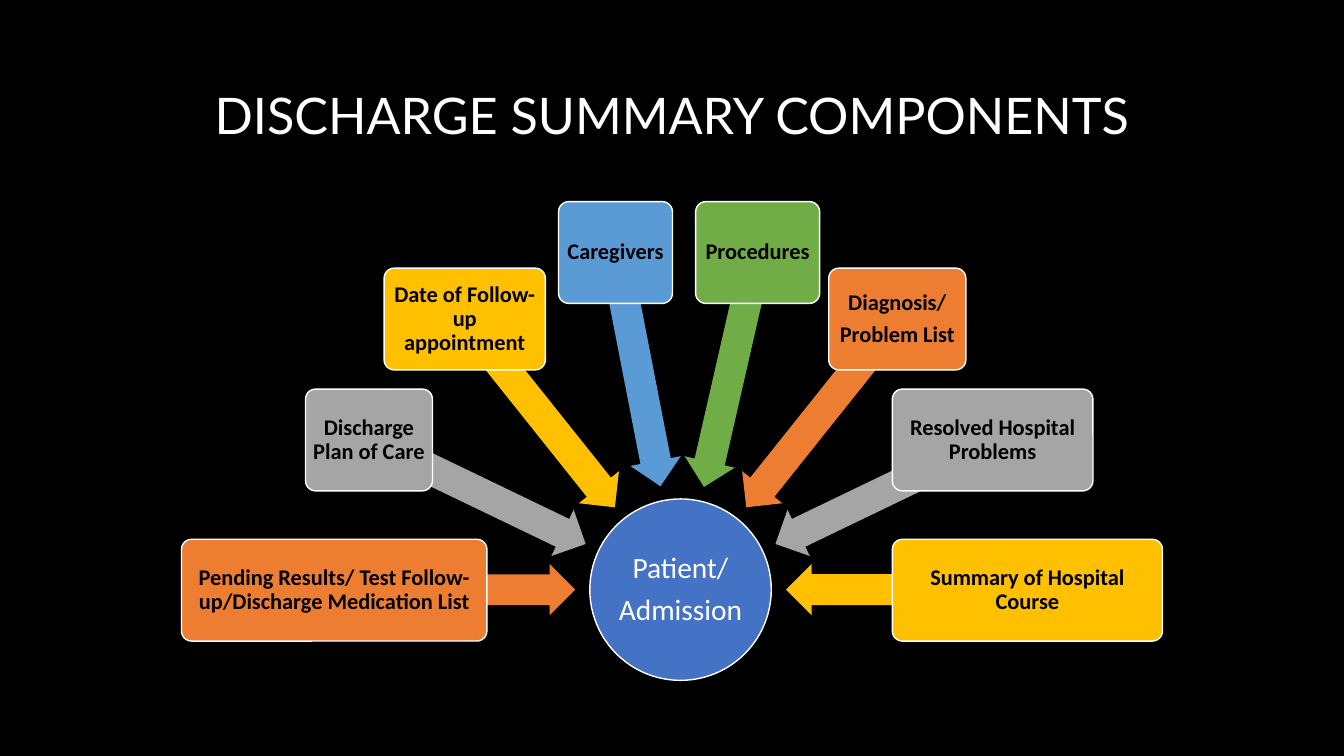
from dataclasses import dataclass
from math import cos, radians, sin

from pptx import Presentation
from pptx.dml.color import RGBColor
from pptx.enum.shapes import MSO_SHAPE
from pptx.enum.text import MSO_ANCHOR, MSO_AUTO_SIZE, PP_ALIGN
from pptx.shapes.autoshape import Shape
from pptx.slide import Slide
from pptx.util import Inches, Pt

CIRCLE = MSO_SHAPE.OVAL
CARD = MSO_SHAPE.ROUNDED_RECTANGLE
ARROW = MSO_SHAPE.LEFT_ARROW
MIDDLE = MSO_ANCHOR.MIDDLE
CENTER = PP_ALIGN.CENTER
NO_AUTOFIT = MSO_AUTO_SIZE.NONE


@dataclass(frozen=True)
class Theme:
    black: str = "000000"
    white: str = "FFFFFF"
    hub: str = "4472C4"
    orange: str = "ED7D31"
    gray: str = "A5A5A5"
    gold: str = "FFC000"
    blue: str = "5B9BD5"
    green: str = "70AD47"
    title_font: str = "Lato"
    body_font: str = "Calibri"
    title_size: int = 36
    hub_size: int = 21
    card_size: int = 16


@dataclass(frozen=True)
class Component:
    lines: tuple[str, ...]
    left: float
    top: float
    width: float
    color: str
    angle: float  # clockwise degrees from the hub's right side


THEME = Theme()

# Geometry in inches
HUB_X, HUB_Y, HUB_SIZE = 6.75, 5.85, 1.8
ARROW_RADIUS, ARROW_LENGTH, ARROW_HEIGHT = 2.24, 2.39, 0.51
CARD_HEIGHT = 1.01
STEP = 180 / 7
ROW_TOPS = (5.35, 3.86, 2.66, 2.0)

# Components clockwise from the left
COMPONENTS = (
    Component(("Pending Results/ Test Follow-up/Discharge Medication List",),
              1.8, ROW_TOPS[0], 3.03, THEME.orange, 180),
    Component(("Discharge Plan of Care",),
              3.03, ROW_TOPS[1], 1.26, THEME.gray, 180 + STEP),
    Component(("Date of Follow-up appointment",),
              3.81, ROW_TOPS[2], 1.6, THEME.gold, 180 + 2 * STEP),
    Component(("Caregivers",),
              5.54, ROW_TOPS[3], 1.13, THEME.blue, 259),
    Component(("Procedures",),
              6.9, ROW_TOPS[3], 1.23, THEME.green, 180 + 4 * STEP),
    Component(("Diagnosis/", "Problem List"),
              8.22, ROW_TOPS[2], 1.36, THEME.orange, 180 + 5 * STEP),
    Component(("Resolved Hospital Problems",),
              8.85, ROW_TOPS[1], 1.99, THEME.gray, 180 + 6 * STEP),
    Component(("Summary of Hospital Course",),
              8.85, ROW_TOPS[0], 2.68, THEME.gold, 0),
)


def write_text(box: Shape, lines: tuple[str, ...], font: str, size: int,
               color: str, bold: bool = False, inset: float = 0.03) -> None:
    frame = box.text_frame
    margin = Inches(inset)
    frame_format = {
        "word_wrap": True, "auto_size": NO_AUTOFIT, "vertical_anchor": MIDDLE,
        "margin_left": margin, "margin_right": margin,
        "margin_top": margin, "margin_bottom": margin,
    }
    for name, value in frame_format.items():
        setattr(frame, name, value)
    frame.text = "\n".join(lines)
    font_format = {"name": font, "size": Pt(size), "bold": bold}
    for para in frame.paragraphs:
        para.alignment = CENTER
        para.line_spacing = 0.9
        span = para.runs[0]
        for name, value in font_format.items():
            setattr(span.font, name, value)
        span.font.color.rgb = RGBColor.from_string(color)
    for para in frame.paragraphs[:-1]:
        para.space_after = Pt(0.35 * size)


def add_filled(page: Slide, kind: MSO_SHAPE, left: float, top: float,
               width: float, height: float, color: str,
               outlined: bool = True) -> Shape:
    box = page.shapes.add_shape(kind, Inches(left), Inches(top),
                                Inches(width), Inches(height))
    box.shadow.inherit = False
    box.fill.solid()
    box.fill.fore_color.rgb = RGBColor.from_string(color)
    if outlined:
        box.line.color.rgb = RGBColor.from_string(THEME.white)
        box.line.width = Pt(1)
    else:
        box.line.fill.background()
    return box


def add_title(page: Slide, text: str) -> None:
    title = page.shapes.title
    bounds = {"left": 1.25, "top": 0.36, "width": 10.83, "height": 1.62}
    for name, value in bounds.items():
        setattr(title, name, Inches(value))
    write_text(title, (text,), THEME.title_font, THEME.title_size, THEME.white)


def add_hub(page: Slide) -> None:
    hub = add_filled(page, CIRCLE, HUB_X - HUB_SIZE / 2, HUB_Y - HUB_SIZE / 2,
                     HUB_SIZE, HUB_SIZE, THEME.hub)
    write_text(hub, ("Patient/", "Admission"), THEME.body_font,
               THEME.hub_size, THEME.white, inset=0.01)


def add_component(page: Slide, item: Component) -> None:
    # Arrow pointing at the hub
    center_x = HUB_X + ARROW_RADIUS * cos(radians(item.angle))
    center_y = HUB_Y + ARROW_RADIUS * sin(radians(item.angle))
    arrow = add_filled(page, ARROW, center_x - ARROW_LENGTH / 2,
                       center_y - ARROW_HEIGHT / 2, ARROW_LENGTH,
                       ARROW_HEIGHT, item.color, outlined=False)
    arrow.adjustments[0] = 0.6
    arrow.adjustments[1] = 0.5
    arrow.rotation = item.angle

    # Labelled card over the arrow's tail
    card = add_filled(page, CARD, item.left, item.top, item.width,
                      CARD_HEIGHT, item.color)
    card.adjustments[0] = 0.1
    write_text(card, item.lines, THEME.body_font, THEME.card_size,
               THEME.black, bold=True)


def main() -> None:
    deck = Presentation()
    deck.slide_width, deck.slide_height = Inches(13.33), Inches(7.5)
    page = deck.slides.add_slide(deck.slide_layouts.get_by_name("Title Only"))
    page.background.fill.solid()
    page.background.fill.fore_color.rgb = RGBColor.from_string(THEME.black)

    add_title(page, "DISCHARGE SUMMARY COMPONENTS")
    add_hub(page)
    for item in COMPONENTS:
        add_component(page, item)
    deck.save("out.pptx")


if __name__ == "__main__":
    main()
